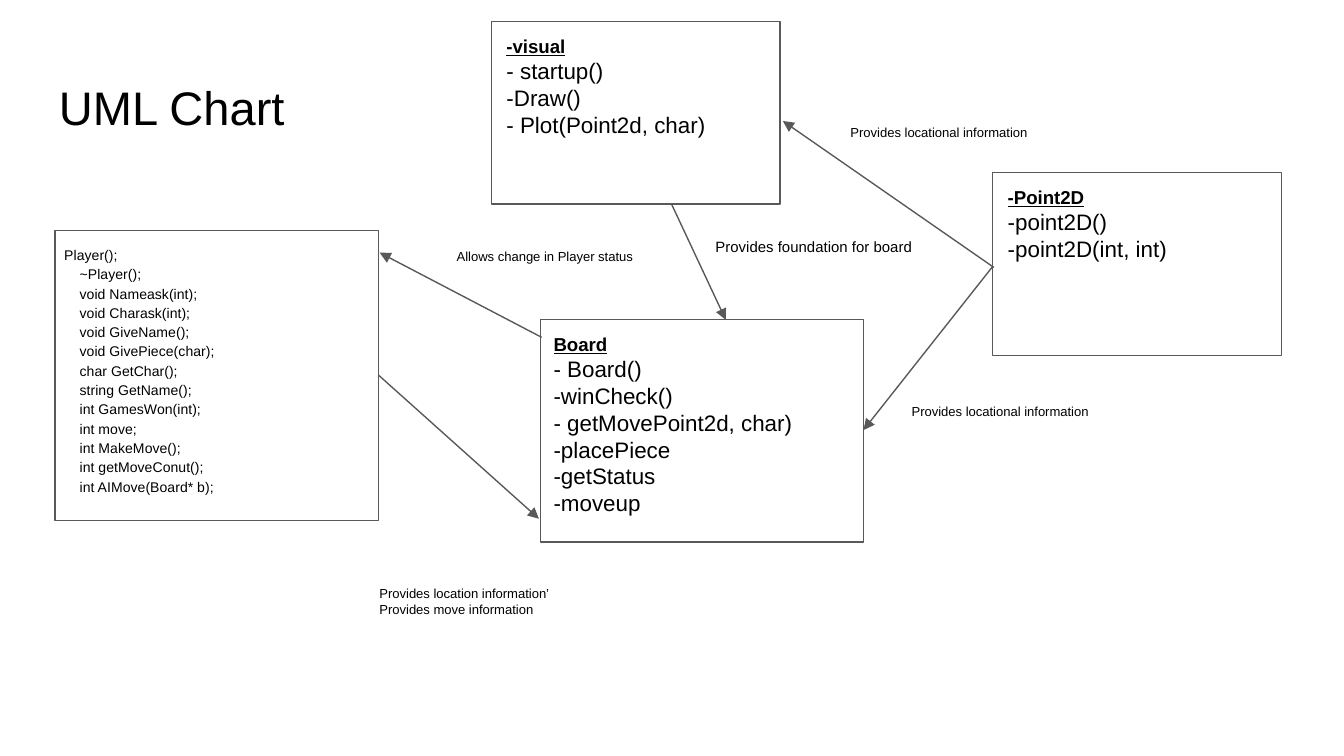
from dataclasses import dataclass

from lxml.etree import SubElement
from pptx import Presentation
from pptx.dml.color import RGBColor
from pptx.enum.shapes import MSO_CONNECTOR as Conn, MSO_SHAPE as Shape
from pptx.enum.text import MSO_ANCHOR as Anchor, MSO_AUTO_SIZE as Fit
from pptx.oxml.ns import qn
from pptx.util import Emu, Pt

PX = 4572


@dataclass(frozen=True)
class Theme:
    font: str = "Arial"
    ink: RGBColor = RGBColor(0, 0, 0)
    paper: RGBColor = RGBColor(255, 255, 255)
    stroke: RGBColor = RGBColor(0x59, 0x59, 0x59)
    title: float = 25.2
    heading: float = 10
    method: float = 12
    member: float = 7.5
    label: float = 7
    big_label: float = 8
    line: float = 0.75


def px(*values):
    return [Emu(v * PX) for v in values]


def apply(target, values):
    for name, value in values.items():
        setattr(target, name, value)


class Diagram:
    def __init__(self, prs, theme):
        self.theme = theme
        self.s = prs.slides.add_slide(prs.slide_layouts[6])
        fill = self.s.background.fill
        fill.solid()
        fill.fore_color.rgb = theme.paper

    def stroke(self, line):
        line.color.rgb = self.theme.stroke
        line.width = Pt(self.theme.line)

    def box(self, *at):
        sp = self.s.shapes.add_shape(Shape.RECTANGLE, *px(*at))
        sp.shadow.inherit = False
        sp.fill.background()
        self.stroke(sp.line)

    def text(self, at, lines, size, **frame):
        tf = self.s.shapes.add_textbox(*px(*at)).text_frame
        inset, = px(20)
        apply(tf, dict(word_wrap=True, auto_size=Fit.SHAPE_TO_FIT_TEXT,
                       margin_left=inset, margin_right=inset,
                       margin_top=inset, margin_bottom=inset) | frame)
        for i, line in enumerate(lines):
            p = tf.add_paragraph() if i else tf.paragraphs[0]
            r = p.add_run()
            r.text = line
            apply(r.font, dict(name=self.theme.font, size=Pt(size)))
            r.font.color.rgb = self.theme.ink
        return tf.paragraphs

    def title(self, at, line):
        self.text(at, [line], self.theme.title, auto_size=Fit.NONE,
                  vertical_anchor=Anchor.BOTTOM)

    def class_text(self, at, heading, methods):
        p = self.text(at, [heading, *methods], self.theme.method)[0]
        apply(p.runs[0].font, dict(size=Pt(self.theme.heading), bold=True,
                                   underline=True))

    def member_text(self, at, constructor, members):
        indent, = px(23)
        paragraphs = self.text(at, [constructor, *members], self.theme.member)
        for i, p in enumerate(paragraphs):
            p.line_spacing = 1.15
            if i:
                p._p.get_or_add_pPr().set("marL", str(indent))

    def label(self, at, *lines, size=None):
        self.text(at, lines, size or self.theme.label)

    def arrow(self, *ends):
        cxn = self.s.shapes.add_connector(Conn.STRAIGHT, *px(*ends))
        self.stroke(cxn.line)
        SubElement(cxn.line._get_or_add_ln(), qn("a:tailEnd"), type="triangle")
        SubElement(cxn._element.spPr, qn("a:effectLst"))


def main():
    prs = Presentation()
    prs.slide_width, prs.slide_height = px(2000, 1125)
    theme = Theme()
    d = Diagram(prs, theme)

    d.title((68, 95, 1864, 126), "UML Chart")

    d.box(731, 32, 430, 272)
    d.class_text((734, 32, 426, 196), "-visual",
                 ["- startup()", "-Draw()", "- Plot(Point2d, char)"])
    d.box(1477, 257, 430, 272)
    d.class_text((1480, 257, 426, 154), "-Point2D",
                 ["-point2D()", "-point2D(int, int)"])
    d.box(804, 476, 481, 331)
    d.class_text((804, 475, 462, 316), "Board",
                 ["- Board()", "-winCheck()", "- getMovePoint2d, char)",
                  "-placePiece", "-getStatus", "-moveup"])
    d.box(82, 343, 481, 432)
    d.member_text((76, 343, 426, 414), "Player();",
                  ["~Player();", "void Nameask(int);", "void Charask(int);",
                   "void GiveName();", "void GivePiece(char);",
                   "char GetChar();", "string GetName();",
                   "int GamesWon(int);", "int move;", "int MakeMove();",
                   "int getMoveConut();", "int AIMove(Board* b);"])

    for ends in [(1479, 398, 1165, 180), (1477, 397, 1285, 640),
                 (563, 558, 802, 772), (806, 502, 565, 376),
                 (999, 303, 1080, 476)]:
        d.arrow(*ends)

    for left, top in [(1246, 174), (1337, 589)]:
        d.label((left, top, 360, 64), "Provides locational information")
    d.label((660, 358, 360, 64), "Allows change in Player status")
    d.label((545, 852, 360, 88), "Provides location information’",
            "Provides move information")
    d.label((1045, 340, 334, 68), "Provides foundation for board",
            size=theme.big_label)

    prs.save("out.pptx")


if __name__ == "__main__":
    main()
